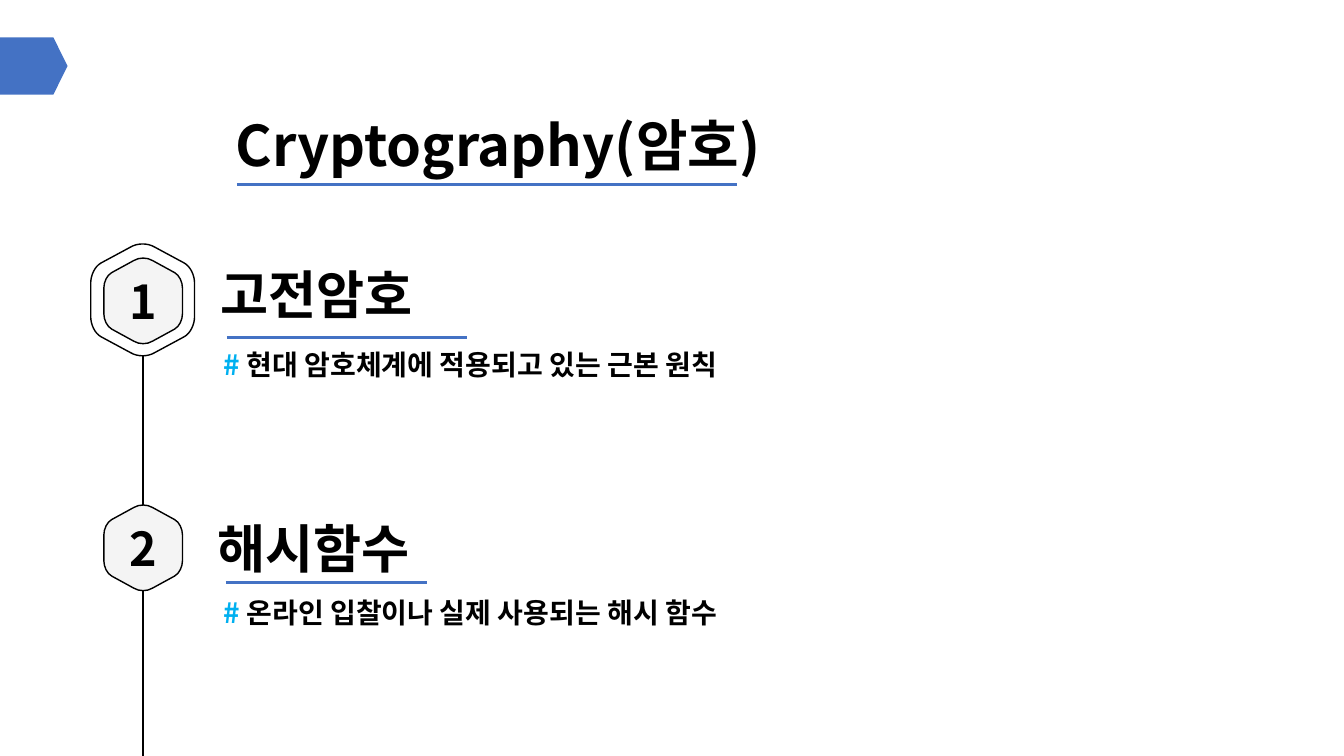
from dataclasses import dataclass

from lxml.etree import SubElement
from pptx import Presentation
from pptx.dml.color import RGBColor as Color
from pptx.enum.text import MSO_ANCHOR as Anchor, MSO_AUTO_SIZE as AutoSize, PP_ALIGN as Align
from pptx.oxml.ns import qn
from pptx.util import Inches, Pt

Point = tuple[float, float]
Corner = tuple[Point, Point, Point, Point]


@dataclass(frozen=True)
class Theme:
    accent: Color = Color(0x44, 0x72, 0xC4)
    ink: Color = Color(0, 0, 0)
    badge: Color = Color(0xF4, 0xF4, 0xF4)
    hash: Color = Color(0x00, 0xB0, 0xF0)
    title_font: str = "Noto Sans CJK SC"
    body_font: str = "Noto Sans CJK KR"
    title_size: float = 40
    heading_size: float = 37.3
    number_size: float = 33.3
    detail_size: float = 20


@dataclass(frozen=True)
class Box:
    left: float
    top: float
    width: float
    height: float


@dataclass(frozen=True)
class Rule:
    start: Point
    end: Point
    color: Color
    weight: float


@dataclass(frozen=True)
class Section:
    number: str
    heading: str
    detail: str
    badge_top: float
    heading_box: Box
    detail_box: Box
    underline: Rule


@dataclass(frozen=True)
class TextRun:
    text: str
    color: Color
    east_asian: bool = True


THEME = Theme()
PATH_UNITS = 1000
TIMELINE = Rule((1.42, 3.53), (1.42, 7.5), THEME.ink, 1)
TITLE_UNDERLINE = Rule((2.35, 1.83), (7.31, 1.83), THEME.accent, 2)
RING = Box(0.9, 2.42, 1.03, 1.11)
TAG = Box(0, 0.37, 0.67, 0.57)
TAG_OUTLINE = [(0, 0), (0.79, 0), (1, 0.5), (0.79, 1), (0, 1)]
SECTIONS = [
    Section("1", "고전암호", "현대 암호체계에 적용되고 있는 근본 원칙", 2.56,
            Box(2.19, 2.6, 5.14, 0.63), Box(2.12, 3.4, 5.88, 0.44),
            Rule((2.25, 3.35), (4.63, 3.35), THEME.accent, 2)),
    Section("2", "해시함수", "온라인 입찰이나 실제 사용되는 해시 함수", 5.01,
            Box(2.16, 5.12, 5.14, 0.63), Box(2.12, 5.86, 7.07, 0.44),
            Rule((2.24, 5.78), (4.24, 5.78), THEME.accent, 2)),
]


def apply_format(target, values: dict) -> None:
    for name, value in values.items():
        setattr(target, name, value)


def hexagon_corners() -> list[Corner]:
    side = ((0, 0.35), (0, 0.28), (0.04, 0.2), (0.1, 0.17))
    peak = ((0.38, 0.03), (0.45, -0.01), (0.55, -0.01), (0.62, 0.03))
    upper = [side, peak, tuple((1 - x, y) for x, y in reversed(side))]
    return upper + [tuple((1 - x, 1 - y) for x, y in corner) for corner in upper]


def add_step(path, tag: str, points: tuple[Point, ...]) -> None:
    step = SubElement(path, qn(tag))
    for x, y in points:
        point = SubElement(step, qn("a:pt"))
        point.set("x", str(round(x * PATH_UNITS)))
        point.set("y", str(round(y * PATH_UNITS)))


def draw_outline(slide, box: Box, outline: list[Point], fill: Color | None, line: Color | None):
    points = [(Inches(box.left + x * box.width), Inches(box.top + y * box.height))
              for x, y in outline]
    builder = slide.shapes.build_freeform(*points[0], scale=1.0)
    builder.add_line_segments(points[1:], close=True)
    shape = builder.convert_to_shape()
    shape.shadow.inherit = False
    if fill is None:
        shape.fill.background()
    else:
        shape.fill.solid()
        shape.fill.fore_color.rgb = fill
    if line is None:
        shape.line.fill.background()
    else:
        shape.line.color.rgb = line
        shape.line.width = Pt(1)
    return shape


def draw_hexagon(slide, box: Box, fill: Color | None):
    corners = hexagon_corners()
    shape = draw_outline(slide, box, [corner[0] for corner in corners], fill, THEME.ink)
    apply_format(shape, {"left": Inches(box.left), "top": Inches(box.top),
                         "width": Inches(box.width), "height": Inches(box.height)})
    path = shape._element.find(".//" + qn("a:path"))
    path.clear()
    for side in ("w", "h"):
        path.set(side, str(PATH_UNITS))
    for index, (start, *bend) in enumerate(corners):
        add_step(path, "a:lnTo" if index else "a:moveTo", (start,))
        add_step(path, "a:cubicBezTo", tuple(bend))
    SubElement(path, qn("a:close"))
    return shape


def draw_rule(slide, rule: Rule) -> None:
    ends = [Inches(value) for value in rule.start + rule.end]
    connector = slide.shapes.add_connector(1, *ends)
    connector.line.color.rgb = rule.color
    connector.line.width = Pt(rule.weight)
    SubElement(connector._element.spPr, qn("a:effectLst"))


def write_runs(paragraph, runs: list[TextRun], size: float, font_name: str) -> None:
    for item in runs:
        run = paragraph.add_run()
        run.text = item.text
        apply_format(run.font, {"name": font_name, "size": Pt(size), "bold": True})
        run.font.color.rgb = item.color
        if item.east_asian:
            SubElement(run.font._element, qn("a:ea")).set("typeface", font_name)


def set_margins(frame, side: float, edge: float) -> None:
    apply_format(frame, {"margin_left": Inches(side), "margin_right": Inches(side),
                         "margin_top": Inches(edge), "margin_bottom": Inches(edge)})


def draw_text(slide, box: Box, runs: list[TextRun], size: float, font_name: str,
              side: float = 0.1, edge: float = 0.05) -> None:
    shape = slide.shapes.add_textbox(Inches(box.left), Inches(box.top),
                                     Inches(box.width), Inches(box.height))
    frame = shape.text_frame
    apply_format(frame, {"word_wrap": True, "auto_size": AutoSize.SHAPE_TO_FIT_TEXT})
    set_margins(frame, side, edge)
    write_runs(frame.paragraphs[0], runs, size, font_name)


def draw_badge(slide, section: Section) -> None:
    shape = draw_hexagon(slide, Box(1.03, section.badge_top, 0.78, 0.85), THEME.badge)
    frame = shape.text_frame
    apply_format(frame, {"vertical_anchor": Anchor.MIDDLE, "word_wrap": True})
    set_margins(frame, 0, 0)
    paragraph = frame.paragraphs[0]
    paragraph.alignment = Align.CENTER
    write_runs(paragraph, [TextRun(section.number, THEME.ink)],
               THEME.number_size, THEME.body_font)


def draw_section(slide, section: Section) -> None:
    draw_badge(slide, section)
    draw_text(slide, section.heading_box, [TextRun(section.heading, THEME.ink)],
              THEME.heading_size, THEME.body_font, 0, 0)
    draw_rule(slide, section.underline)
    draw_text(slide, section.detail_box,
              [TextRun("# ", THEME.hash, False), TextRun(section.detail, THEME.ink, False)],
              THEME.detail_size, THEME.body_font)


def main() -> None:
    presentation = Presentation()
    apply_format(presentation, {"slide_width": Inches(13.33), "slide_height": Inches(7.5)})
    slide = presentation.slides.add_slide(presentation.slide_layouts[6])
    draw_outline(slide, TAG, TAG_OUTLINE, THEME.accent, None)
    draw_rule(slide, TIMELINE)
    draw_text(slide, Box(2.24, 1.05, 6.3, 0.77), [TextRun("Cryptography(암호)", THEME.ink)],
              THEME.title_size, THEME.title_font)
    draw_rule(slide, TITLE_UNDERLINE)
    draw_hexagon(slide, RING, None)
    for section in SECTIONS:
        draw_section(slide, section)
    presentation.save("out.pptx")


if __name__ == "__main__":
    main()
